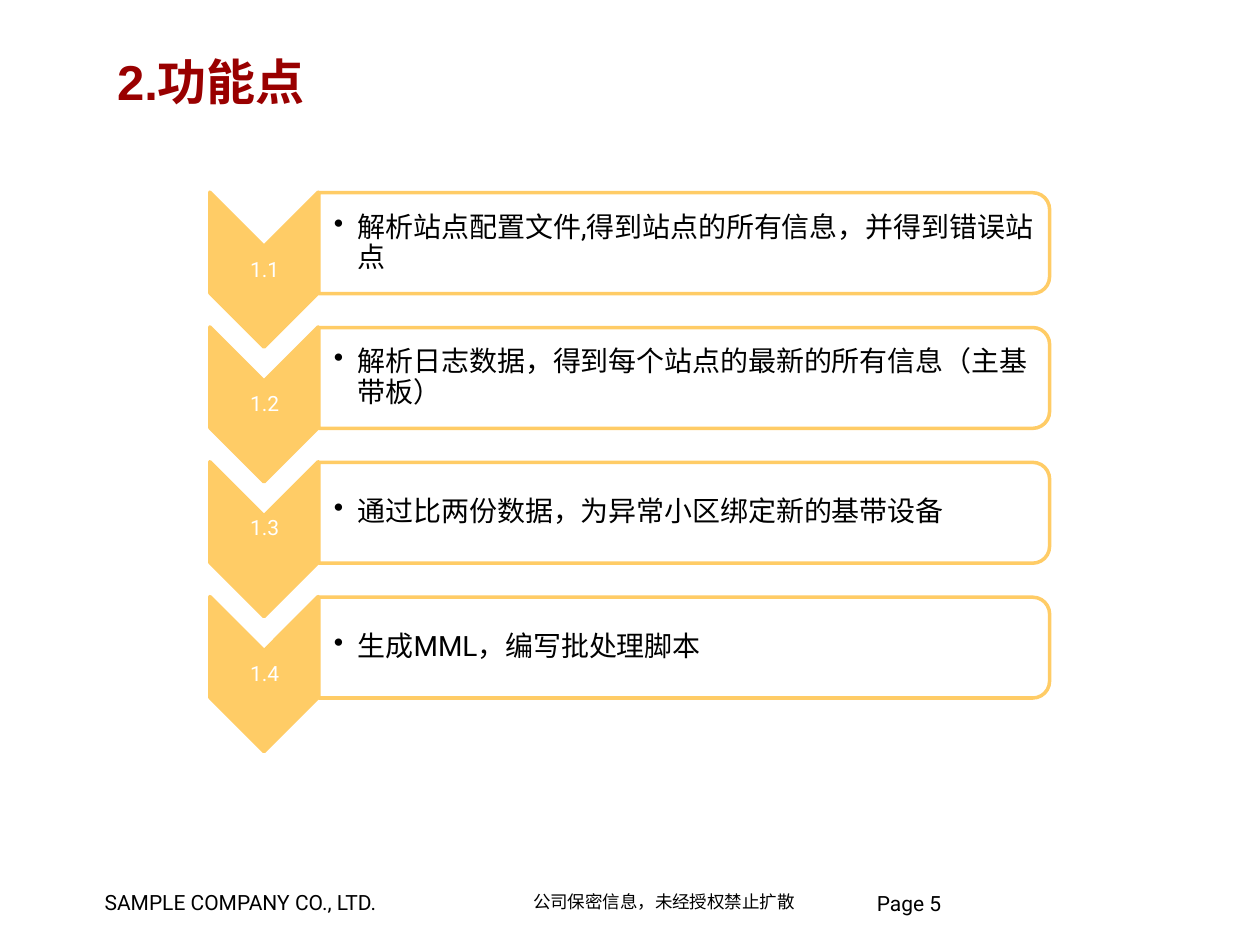
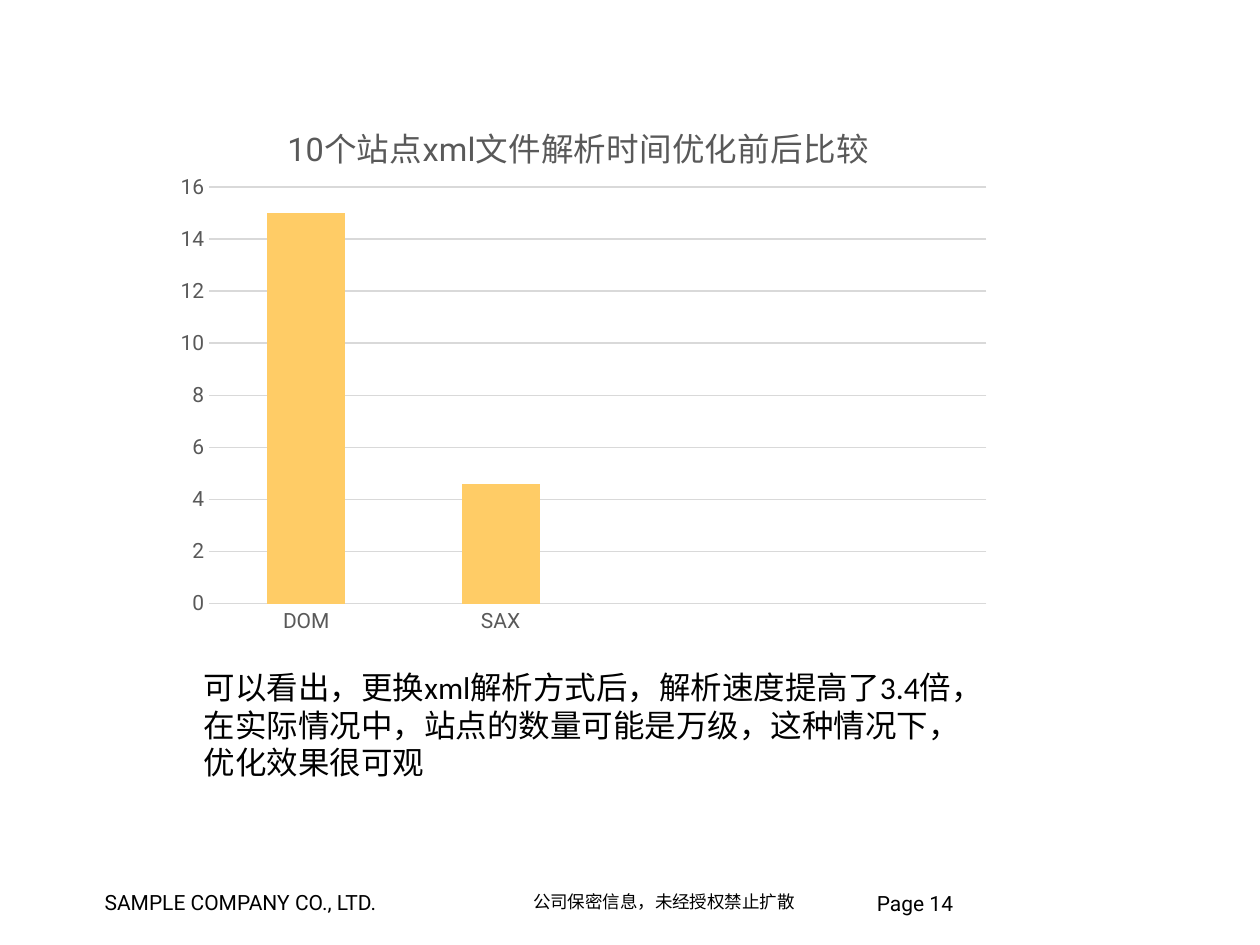
from lxml.etree import SubElement
from pptx import Presentation
from pptx.chart.data import CategoryChartData
from pptx.dml.color import RGBColor
from pptx.enum.chart import XL_CHART_TYPE as ChartType, XL_TICK_MARK as Tick
from pptx.enum.shapes import MSO_SHAPE as Shape
from pptx.enum.text import MSO_ANCHOR as Anchor, MSO_AUTO_SIZE as AutoSize, PP_ALIGN as Align
from pptx.oxml import parse_xml
from pptx.oxml.ns import nsdecls, qn
from pptx.util import Inches, Pt

COMPANY = "SAMPLE COMPANY CO., LTD."
CONFIDENTIAL = "公司保密信息，未经授权禁止扩散"


def colour(hex_text):
    return RGBColor.from_string(hex_text)


class DeckBuilder:
    """Holds the shared style and the current page."""

    accent, white, black = "FFCC66", "FFFFFF", "000000"
    title_red, grey, grid = "990000", "595959", "D9D9D9"
    body_font, title_font, note_font = "Roboto", "Arial", "Calibri"
    chinese_font = "Noto Sans CJK SC"

    def __init__(self):
        self.deck = Presentation()
        self.deck.slide_width, self.deck.slide_height = Inches(10), Inches(7.5)
        self.page = None

    def new_page(self, layout, number):
        self.page = self.deck.slides.add_slide(self.deck.slide_layouts[layout])
        self.text(COMPANY, (0.83, 7.06, 2.78, 0.2), 12, insets=(0, 0, 0.09, 0), wrap=False)
        page_label = self.text(f"Page {number}", (6.96, 7.1, 2.3, 0.4), 12, insets=(0, 0, 0, 0))
        page_label.line_spacing = 0.85
        self.text(CONFIDENTIAL, (4.14, 7.07, 2.28, 0.17), 10, font=self.chinese_font,
                  insets=(0.09, 0, 0.09, 0), wrap=False)

    def style_font(self, font, size, name, hex_text, bold=False):
        font.size, font.name, font.bold = Pt(size), name, bold
        font.color.rgb = colour(hex_text)

    def style_para(self, para, size, name, hex_text, bold=False):
        for span in para.runs:
            self.style_font(span.font, size, name, hex_text, bold)
            latin = span.font._element.find(qn("a:latin"))
            latin.addnext(parse_xml(f'<a:ea {nsdecls("a")} typeface="{self.chinese_font}"/>'))

    def title(self, words):
        box = self.page.shapes.title
        box.left, box.top, box.width, box.height = map(Inches, (0.83, 0.36, 8.35, 0.95))
        frame = box.text_frame
        frame.text = words
        frame.vertical_anchor, frame.auto_size = Anchor.TOP, AutoSize.NONE
        frame.paragraphs[0].alignment = Align.LEFT
        self.style_para(frame.paragraphs[0], 28, self.title_font, self.title_red, bold=True)

    def text(self, words, place, size, font=body_font, hex_text=black,
             insets=(0.1, 0.05, 0.1, 0.05), wrap=True, anchor=Anchor.TOP):
        frame = self.page.shapes.add_textbox(*map(Inches, place)).text_frame
        frame.text = words
        frame.word_wrap, frame.vertical_anchor = wrap, anchor
        (frame.margin_left, frame.margin_top,
         frame.margin_right, frame.margin_bottom) = map(Inches, insets)
        para = frame.paragraphs[0]
        self.style_para(para, size, font, hex_text)
        return para

    def turned_shape(self, kind, place, fill, opacity=100):
        shape = self.page.shapes.add_shape(kind, *map(Inches, place))
        shape.rotation = 90
        shape.shadow.inherit = False
        shape.fill.solid()
        shape.fill.fore_color.rgb = colour(fill)
        if opacity < 100:
            fill_colour = shape.fill._xPr.find(qn("a:solidFill"))[0]
            SubElement(fill_colour, qn("a:alpha"), val=str(opacity * 1000))
        shape.line.color.rgb = colour(self.accent)
        shape.line.width = Pt(2)

    def bullet(self, para):
        properties = para._p.get_or_add_pPr()
        properties.set("marL", str(Inches(0.19)))
        properties.set("indent", str(Inches(-0.19)))
        SubElement(properties, qn("a:buChar"), char="•")

    def step(self, top, label, words, lift=0):
        """A downward chevron with its label, and a rounded bar with one bullet."""
        self.turned_shape(Shape.CHEVRON, (1.48, top + 0.14, 1.23, 0.86), self.accent)
        para = self.text(label, (1.67, top + 0.39, 0.86, 0.37), 12, hex_text=self.white,
                         insets=(0.01, 0.01, 0.01, 0.01 + lift), anchor=Anchor.MIDDLE)
        para.alignment, para.line_spacing = Align.CENTER, 0.9
        self.turned_shape(Shape.ROUND_2_SAME_RECTANGLE, (5.03, top - 2.54, 0.8, 5.8),
                          self.white, opacity=90)
        para = self.text(words, (2.53, top, 5.76, 0.72), 16,
                         insets=(0.12, 0.01, 0.01, 0.01), anchor=Anchor.MIDDLE)
        para.line_spacing = 0.9
        self.bullet(para)

    def manual_layout(self, parent, **values):
        """Fix the position of a chart part, in fractions of the chart."""
        for old in parent.findall(qn("c:layout")):
            parent.remove(old)
        layout = parse_xml(f'<c:layout {nsdecls("c")}><c:manualLayout/></c:layout>')
        for tag, value in values.items():
            SubElement(layout[0], qn(f"c:{tag}"), val=str(value))
        return layout

    def column_chart(self, place, heading, categories, series):
        data = CategoryChartData()
        data.categories = categories
        for name, values, _ in series:
            data.add_series(name, values)
        chart = self.page.shapes.add_chart(
            ChartType.COLUMN_STACKED, *map(Inches, place), data).chart
        self.style_font(chart.font, 10, self.body_font, self.black)
        chart.has_legend = False

        # Heading and plot area
        chart.has_title = True
        frame = chart.chart_title.text_frame
        frame.text = heading
        self.style_para(frame.paragraphs[0], 18.6, self.body_font, self.grey)
        title = chart.chart_title._element
        title.find(qn("c:tx")).addnext(self.manual_layout(
            title, xMode="edge", yMode="edge", x=0.14, y=0.05))
        area = chart._chartSpace.chart.plotArea
        area.insert(0, self.manual_layout(
            area, layoutTarget="inner", xMode="edge", yMode="edge",
            x=0.054, y=0.181, w=0.925, h=0.745))

        # Columns
        plot = chart.plots[0]
        plot.gap_width, plot.overlap, plot.vary_by_categories = 150, 100, False
        for column, (_, _, fill) in zip(plot.series, series):
            column.format.fill.solid()
            column.format.fill.fore_color.rgb = colour(fill)

        # Axes
        for axis in (chart.category_axis, chart.value_axis):
            axis.major_tick_mark = axis.minor_tick_mark = Tick.NONE
            self.style_font(axis.tick_labels.font, 12, self.body_font, self.grey)
        chart.value_axis.format.line.fill.background()
        chart.value_axis.has_major_gridlines = True
        for part in (chart.category_axis, chart.value_axis.major_gridlines):
            part.format.line.color.rgb = colour(self.grid)
            part.format.line.width = Pt(0.75)


def main():
    builder = DeckBuilder()

    # Feature steps
    builder.new_page(layout=5, number=5)
    builder.title("2.功能点")
    steps = [
        ("解析站点配置文件,得到站点的所有信息，并得到错误站点", 0),
        ("解析日志数据，得到每个站点的最新的所有信息（主基带板）", 0),
        ("通过比两份数据，为异常小区绑定新的基带设备", 0.18),
        ("生成MML，编写批处理脚本", 0),
    ]
    for index, (words, lift) in enumerate(steps):
        builder.step(1.57 + 1.07 * index, f"1.{index + 1}", words, lift)

    # Parsing time comparison
    builder.new_page(layout=6, number=14)
    empty = [None] * 4
    builder.column_chart(
        (1.3, 0.68, 6.67, 4.44), "10个站点xml文件解析时间优化前后比较",
        ["DOM", "SAX", "", ""],
        [("Series 1", [15, 4.6, None, None], builder.accent),
         ("Series 2", empty, "FFCC99"),
         ("Series 3", empty, builder.white)])
    builder.text("可以看出，更换xml解析方式后，解析速度提高了3.4倍，在实际情况中，"
                 "站点的数量可能是万级，这种情况下，优化效果很可观",
                 (1.52, 5.25, 6.22, 1.01), 18, font=builder.note_font)

    builder.deck.save("out.pptx")


if __name__ == "__main__":
    main()
